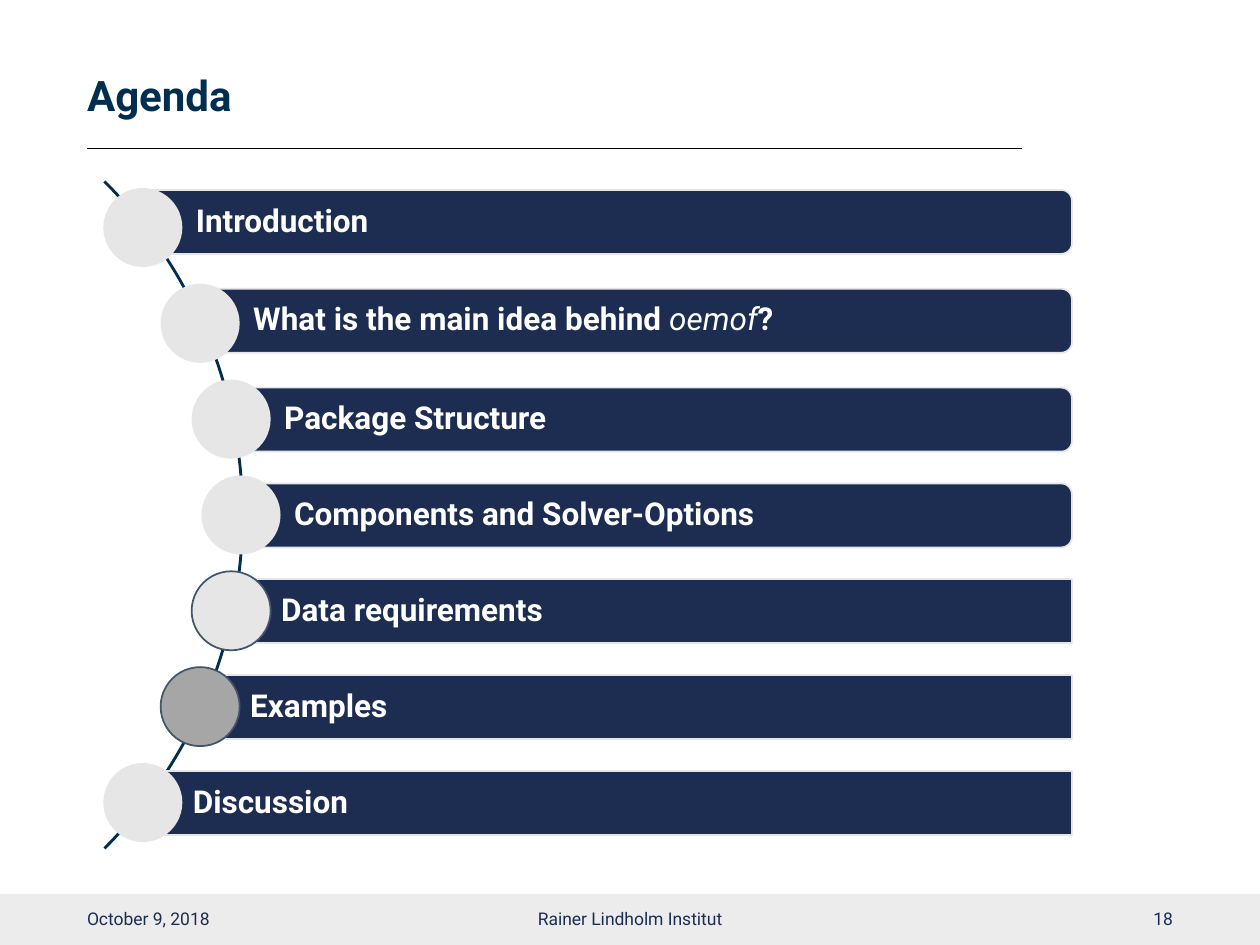
from math import sqrt

from pptx import Presentation
from pptx.dml.color import RGBColor
from pptx.enum.shapes import MSO_CONNECTOR, MSO_SHAPE
from pptx.enum.text import MSO_ANCHOR, PP_ALIGN
from pptx.oxml.ns import qn
from pptx.util import Pt
from lxml import etree

PX = 914400 // 126
FONT = "Roboto"
NAVY = RGBColor(0x1C, 0x2D, 0x51)
TITLE_BLUE = RGBColor(0x00, 0x2E, 0x4F)
ARC_BLUE = RGBColor(0x00, 0x2E, 0x50)
PALE = RGBColor(0xE7, 0xE6, 0xE6)
GREY = RGBColor(0xA6, 0xA6, 0xA6)
SLATE = RGBColor(0x44, 0x54, 0x6A)
FOOTER_GREY = RGBColor(0xEC, 0xEC, 0xEC)
WHITE = RGBColor(0xFF, 0xFF, 0xFF)
BLACK = RGBColor(0, 0, 0)

ROUND, SQUARE = MSO_SHAPE.ROUNDED_RECTANGLE, MSO_SHAPE.RECTANGLE
# Runs, bar shape, bar offset below the circle top, circle fill, circle outline
AGENDA = [
    (["Introduction"], ROUND, 2, PALE, None),
    (["What is the main idea behind ", "oemof", "?"], ROUND, 5, PALE, None),
    (["Package Structure"], ROUND, 8, PALE, None),
    (["Components and Solver-Options"], ROUND, 8, PALE, None),
    (["Data requirements"], SQUARE, 8, PALE, SLATE),
    (["Examples"], SQUARE, 8, GREY, SLATE),
    (["Discussion"], SQUARE, 8, PALE, None),
]


def px(*values):
    """Turn picture pixels into EMU."""
    return [round(v * PX) for v in values]


def add_shape(slide, kind, box, fill, line=None):
    """Add a flat preset shape with an optional 1 pt outline."""
    sp = slide.shapes.add_shape(kind, *px(*box))
    sp.shadow.inherit = False
    sp.fill.solid()
    sp.fill.fore_color.rgb = fill
    if line is None:
        sp.line.fill.background()
    else:
        sp.line.color.rgb = line
        sp.line.width = Pt(1)
    return sp


def format_frame(tf, left, right, size, color, bold=False, align=PP_ALIGN.LEFT):
    """Set insets, anchor and font of a text frame."""
    tf.word_wrap = True
    tf.vertical_anchor = MSO_ANCHOR.MIDDLE
    tf.margin_left, tf.margin_right, tf.margin_top, tf.margin_bottom = px(left, right, 6, 6)
    p = tf.paragraphs[0]
    p.alignment = align
    for r in p.runs:
        r.font.name, r.font.size, r.font.bold = FONT, Pt(size), bold
        r.font.color.rgb = color


def add_header(slide, box):
    """Place the title and the rule below it."""
    x, y, w, h = box
    title = slide.shapes.title
    title.left, title.top, title.width, title.height = px(*box)
    title.text_frame.text = "Agenda"
    format_frame(title.text_frame, 0, 13, 24, TITLE_BLUE, bold=True)
    title.text_frame.paragraphs[0].line_spacing = 0.9
    rule = slide.shapes.add_connector(
        MSO_CONNECTOR.STRAIGHT, *px(x, y + h + 2, x + 935, y + h + 2))
    rule.line.color.rgb = BLACK
    rule.line.width = Pt(0.5)
    etree.SubElement(rule._element.spPr, qn("a:effectLst"))


def add_agenda(slide, box):
    """Place the arc, then a bar and a circle for each item along it."""
    x, y, w, h = box
    arc_size, circle, bar_h = 946, 79, 64
    center_x, center_y, radius = x - 331, y + h / 2, 470
    arc = add_shape(slide, MSO_SHAPE.BLOCK_ARC,
                    (center_x - arc_size / 2, center_y - arc_size / 2, arc_size, arc_size),
                    ARC_BLUE)
    for i, value in enumerate((189, 27, 0.003)):
        arc.adjustments[i] = value
    step = (h - circle) / (len(AGENDA) - 1)
    for i, (texts, kind, offset, fill, line) in enumerate(AGENDA):
        top = y + i * step
        dy = top + circle / 2 - center_y
        mid = center_x + sqrt(radius ** 2 - dy ** 2)
        bar = add_shape(slide, kind, (mid, top + offset, x + w - mid, bar_h), NAVY, PALE)
        p = bar.text_frame.paragraphs[0]
        for text in texts:
            p.add_run().text = text
        format_frame(bar.text_frame, 50, 6, 18, WHITE, bold=True)
        p.line_spacing = 0.9
        for r in p.runs[1:2]:
            r.font.bold, r.font.italic = False, True
        add_shape(slide, MSO_SHAPE.OVAL, (mid - circle / 2, top, circle, circle), fill, line)


def add_footer(slide, box):
    """Place the footer band with date, institute and page number."""
    x, y, w, h = box
    add_shape(slide, SQUARE, box, FOOTER_GREY)
    for text, left, width, inset, align in (
            ("October 9, 2018", 87, 283, 0, PP_ALIGN.LEFT),
            ("Rainer Lindholm Institut", 417, 426, 13, PP_ALIGN.CENTER),
            ("18", 890, 283, 0, PP_ALIGN.RIGHT)):
        tb = slide.shapes.add_textbox(*px(x + left, y, width, h - 1))
        tb.text_frame.text = text
        format_frame(tb.text_frame, inset, inset, 10, NAVY, align=align)


prs = Presentation()
prs.slide_width, prs.slide_height = px(1260, 945)
slide = prs.slides.add_slide(prs.slide_layouts[5])
add_footer(slide, (0, 894, 1260, 51))
add_header(slide, (87, 50, 1089, 96))
add_agenda(slide, (102, 188, 970, 654))
prs.save("out.pptx")
